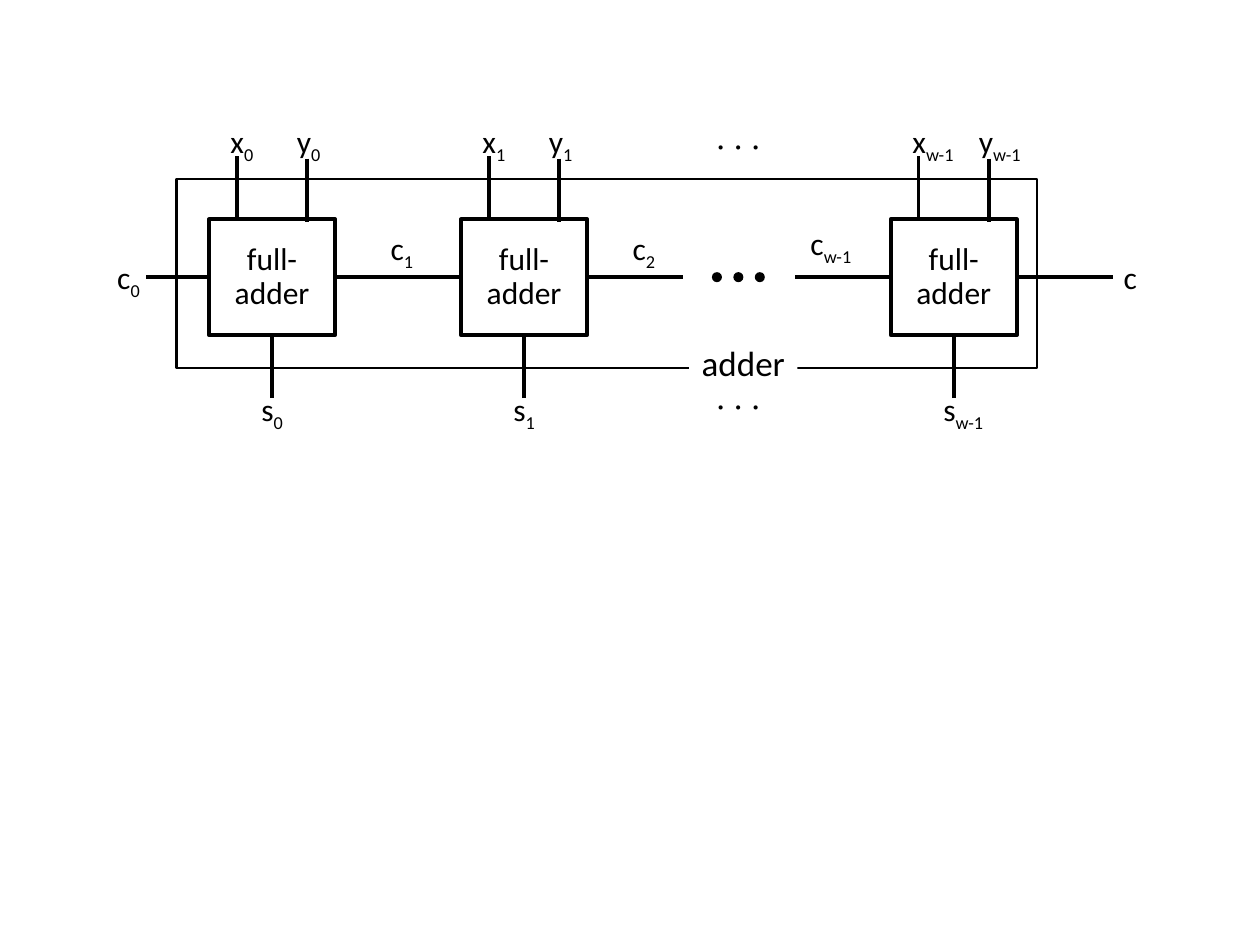
"""Draw a ripple-carry adder built from a chain of full-adders."""
from typing import Any, NamedTuple

from pptx import Presentation
from pptx.dml.color import RGBColor
from pptx.enum.shapes import MSO_CONNECTOR as CONN, MSO_SHAPE as SHAPE
from pptx.enum.text import MSO_ANCHOR as ANCHOR, MSO_AUTO_SIZE as AUTO, PP_ALIGN as ALIGN
from pptx.oxml.ns import qn
from pptx.util import Emu, Pt

PX = 9144
BLACK, WHITE = "000000", "FFFFFF"
BOX_W, BOX_H, BOX_TOP = 100, 92, 174
WIRE_Y = BOX_TOP + BOX_H // 2


class Box(NamedTuple):
    """A rectangle in px."""
    x: int
    y: int
    w: int
    h: int


class Stage(NamedTuple):
    """One full-adder with its bit index and label width."""
    x: int
    index: str
    label_w: int


class Label(NamedTuple):
    """A signal name with a subscript."""
    name: str
    sub: str
    box: Box


class Wire(NamedTuple):
    """A straight line in px."""
    x1: int
    y1: int
    x2: int
    y2: int


STAGES = [Stage(366, "1", 42), Stage(166, "0", 42), Stage(707, "w-1", 57)]
CARRY_WIRES = [Wire(x1, WIRE_Y, x2, WIRE_Y) for x1, x2 in
               [(116, 166), (265, 365), (465, 542), (631, 708), (806, 883)]]
CARRY_LABELS = [
    Label("c", "0", Box(81, 200, 42, 44)),
    Label("c", "1", Box(298, 177, 42, 44)),
    Label("c", "2", Box(490, 177, 42, 44)),
    Label("c", "w-1", Box(631, 173, 57, 44)),
    Label("c", "", Box(880, 200, 34, 40)),
]


def px(n: int) -> Emu:
    """Turn px into EMU."""
    return Emu(n * PX)


def color(value: str) -> RGBColor:
    """Turn a hex string into a colour."""
    return RGBColor.from_string(value)


def add_shape(shapes: Any, kind: SHAPE, box: Box, fill: str = "", line: float = 0) -> Any:
    """Add a preset shape with an optional fill and black outline."""
    sp = shapes.add_shape(kind, *map(px, box))
    sp.shadow.inherit = False
    if fill:
        sp.fill.solid()
        sp.fill.fore_color.rgb = color(fill)
    else:
        sp.fill.background()
    if line:
        sp.line.color.rgb = color(BLACK)
        sp.line.width = Pt(line)
    else:
        sp.line.fill.background()
    return sp


def add_wire(shapes: Any, wire: Wire) -> None:
    """Add a black wire without a shadow."""
    cx = shapes.add_connector(CONN.STRAIGHT, *map(px, wire))
    cx.line.color.rgb = color(BLACK)
    cx.line.width = Pt(2.25)
    sp_pr = cx._element.spPr
    sp_pr.append(sp_pr.makeelement(qn("a:effectLst"), {}))


def add_run(p: Any, text: str, size: int = 18, font: str = "Calibri", sub: bool = False) -> None:
    """Add one black run, lowered when it is a subscript."""
    r = p.add_run()
    r.text = text
    r.font.size = Pt(size)
    r.font.name = font
    r.font.color.rgb = color(BLACK)
    if sub:
        r._r.get_or_add_rPr().set("baseline", "-25000")


def set_frame(sp: Any, wrap: bool = False) -> Any:
    """Prepare a top-anchored text frame that fits its text."""
    tf = sp.text_frame
    tf.word_wrap = wrap
    tf.auto_size = AUTO.SHAPE_TO_FIT_TEXT
    tf.vertical_anchor = ANCHOR.TOP
    tf.paragraphs[0].alignment = ALIGN.CENTER
    return tf


def add_label(shapes: Any, label: Label) -> None:
    """Add a signal label."""
    p = set_frame(shapes.add_textbox(*map(px, label.box))).paragraphs[0]
    add_run(p, label.name)
    if label.sub:
        add_run(p, label.sub, sub=True)


def add_stage(shapes: Any, stage: Stage) -> None:
    """Add a full-adder with its inputs and sum output."""
    x, index, w = stage
    bottom = BOX_TOP + BOX_H
    add_shape(shapes, SHAPE.RECTANGLE, Box(x, BOX_TOP, BOX_W, BOX_H), line=2.25)
    tf = set_frame(shapes.add_textbox(*map(px, Box(x + 5, 188, 90, 64))))
    for p, text in zip((tf.paragraphs[0], tf.add_paragraph()), ("full-", "adder")):
        p.alignment = ALIGN.CENTER
        p.line_spacing = 0.9
        add_run(p, text)
    add_wire(shapes, Wire(x + 22, 124, x + 22, BOX_TOP))
    add_wire(shapes, Wire(x + 78, 126, x + 78, BOX_TOP + 2))
    add_wire(shapes, Wire(x + 50, bottom + 50, x + 50, bottom))
    for name, dx, y in (("x", 5, 92), ("y", 58, 92), ("s", 29, 305)):
        add_label(shapes, Label(name, index, Box(x + dx, y, w, 44)))


def add_enclosure(shapes: Any) -> None:
    """Add the outline of the whole adder with its title."""
    group = shapes.add_group_shape().shapes
    add_shape(group, SHAPE.RECTANGLE, Box(140, 142, 683, 150), line=1.5)
    title = add_shape(group, SHAPE.RECTANGLE, Box(547, 266, 86, 44), fill=WHITE)
    add_run(set_frame(title).paragraphs[0], "adder", 20)


def main() -> None:
    """Build and save the slide."""
    prs = Presentation()
    prs.slide_width, prs.slide_height = px(1000), px(750)
    s = prs.slides.add_slide(prs.slide_layouts[6])
    for stage in STAGES:
        add_stage(s.shapes, stage)
    for wire in CARRY_WIRES:
        add_wire(s.shapes, wire)
    for label in CARRY_LABELS:
        add_label(s.shapes, label)
    dots = s.shapes.add_group_shape().shapes
    for i in range(3):
        add_shape(dots, SHAPE.OVAL, Box(565 + 17 * i, 216, 8, 8), fill=BLACK)
    add_enclosure(s.shapes)
    for y in (86, 292):
        tf = set_frame(s.shapes.add_textbox(*map(px, Box(553, y, 66, 44))), wrap=True)
        add_run(tf.paragraphs[0], ". . .", 20, "Times New Roman")
    prs.save("out.pptx")


if __name__ == "__main__":
    main()
